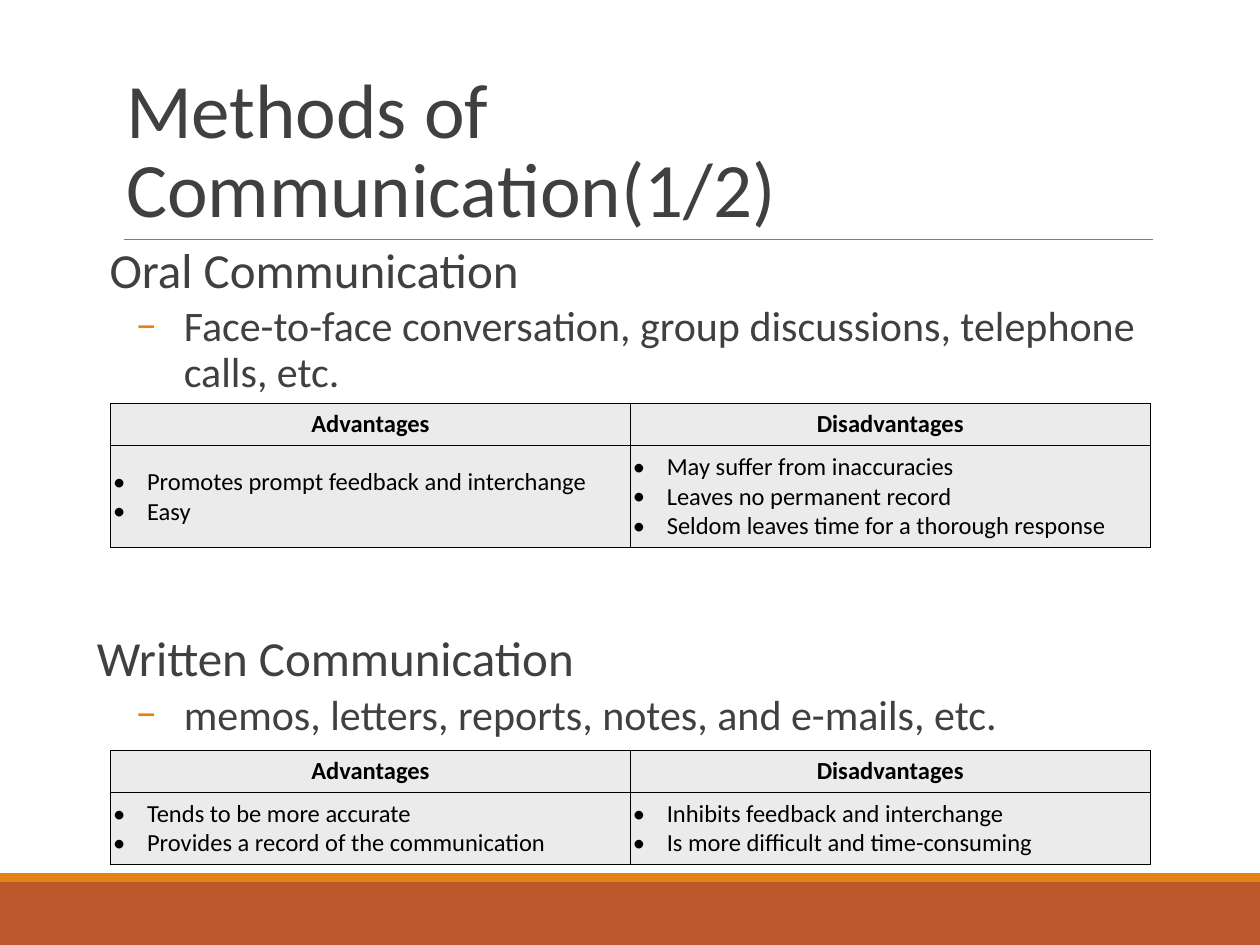
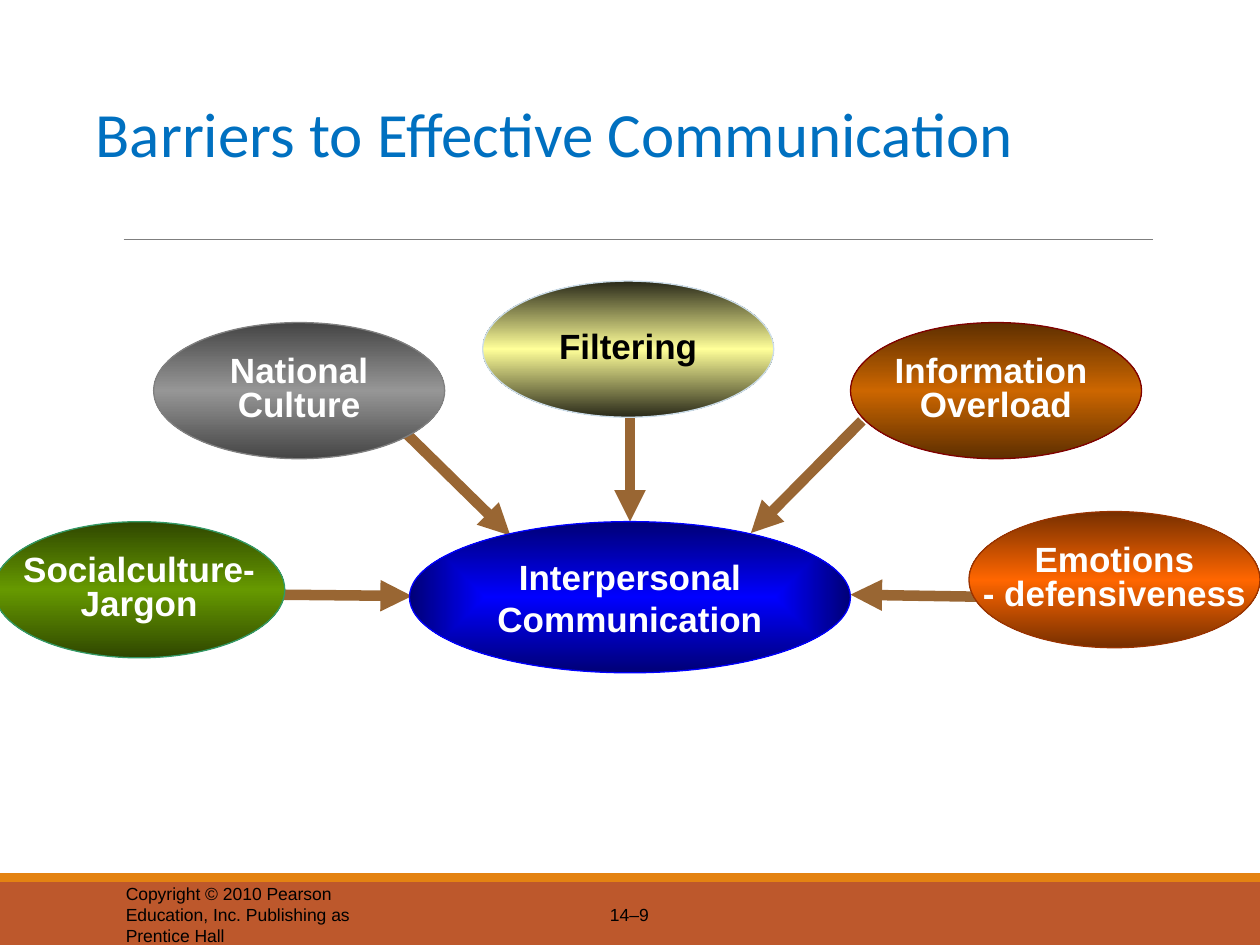
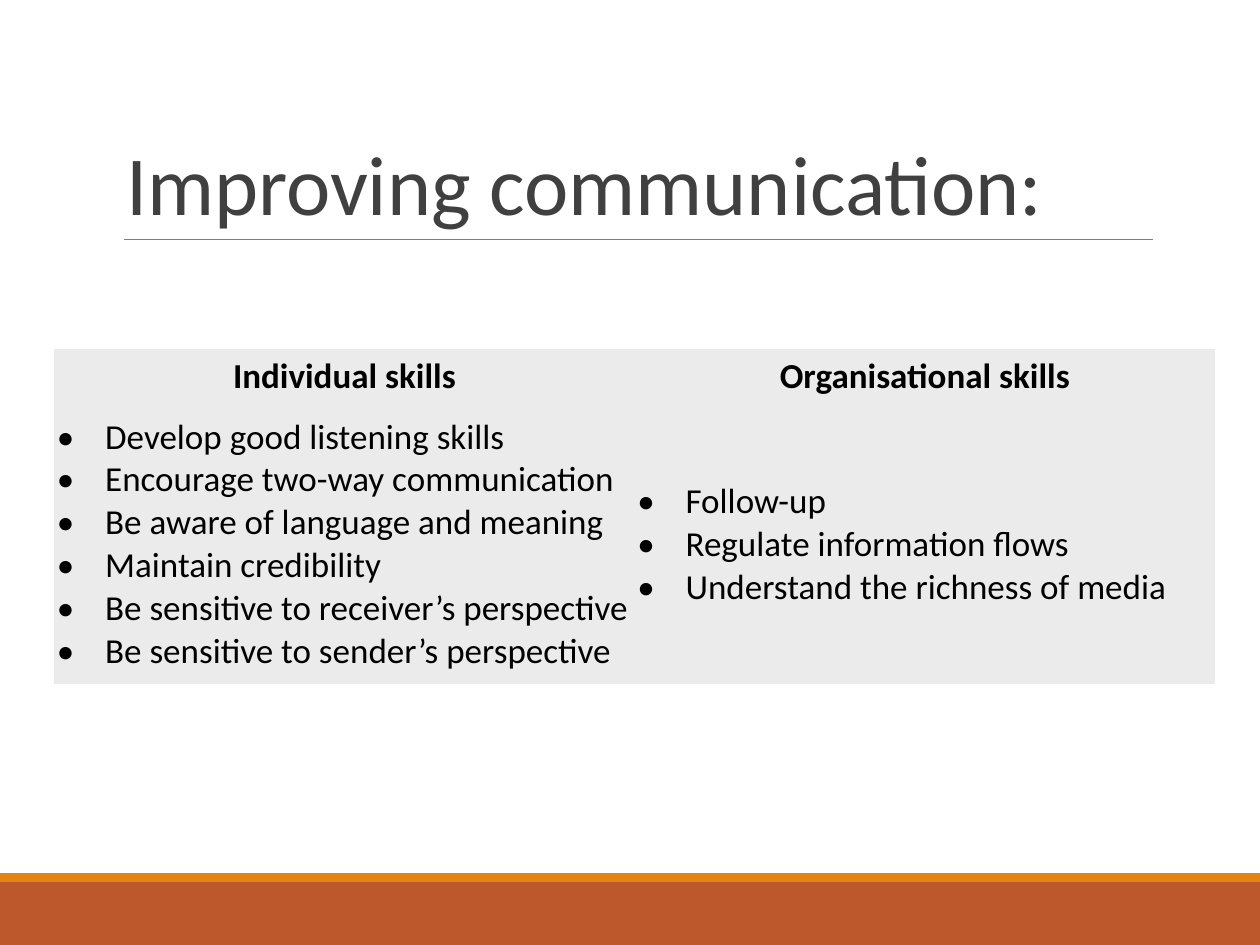
"""Build three slides on communication methods, barriers and improvements."""
from lxml import etree
from pptx import Presentation
from pptx.dml.color import RGBColor
from pptx.enum.shapes import MSO_CONNECTOR, MSO_SHAPE
from pptx.enum.text import MSO_ANCHOR, MSO_AUTO_SIZE, PP_ALIGN
from pptx.oxml import parse_xml
from pptx.oxml.ns import nsdecls, qn
from pptx.util import Pt

RECT, OVAL = MSO_SHAPE.RECTANGLE, MSO_SHAPE.OVAL
STRAIGHT = MSO_CONNECTOR.STRAIGHT
MIDDLE, BOTTOM = MSO_ANCHOR.MIDDLE, MSO_ANCHOR.BOTTOM
LEFT, CENTER = PP_ALIGN.LEFT, PP_ALIGN.CENTER
NO_FIT = MSO_AUTO_SIZE.NONE

BLACK = RGBColor(0x00, 0x00, 0x00)
WHITE = RGBColor(0xFF, 0xFF, 0xFF)
TEXT = RGBColor(0x40, 0x40, 0x40)
TITLE_BLUE = RGBColor(0x00, 0x70, 0xC0)
RUST = RGBColor(0xBD, 0x58, 0x2C)
ORANGE = RGBColor(0xE4, 0x83, 0x12)
RULE = RGBColor(0x7F, 0x7F, 0x7F)
CELL = RGBColor(0xEB, 0xEB, 0xEB)
ARROW = RGBColor(0x99, 0x66, 0x33)
HUB_BLUE = RGBColor(0x00, 0x00, 0xFF)
HUB_NAVY = RGBColor(0x00, 0x00, 0x76)

NO_GRID = "{2D5ABB26-0587-4C30-8999-92F81FD0307C}"
TITLE_BOX = (64.8, 22.3, 594, 114.5)
BARRIER_SIZE = (166.3, 77.8)

BARRIERS = [
    ("National\vCulture", (87.8, 184.3), "454545", "969696", "808080", WHITE),
    ("Emotions\n- defensiveness", (553.7, 292.3), "762F00", "FF6600", "993300", WHITE),
    ("Information \vOverload", (486, 184.3), "5E2F00", "CC6600", "800000", WHITE),
    ("Socialculture-\nJargon", (-3.6, 298.1), "2F4700", "669900", "339966", WHITE),
    ("Filtering", (275.8, 160.6), "292919", "FFFF99", "CCDDEA", BLACK),
]
ARROWS = [
    (156.2, 339.8, 235.4, 340.6),
    (218.9, 234.7, 291.6, 306),
    (578.9, 341.3, 486, 339.8),
    (492.5, 240.5, 429.1, 304.6),
    (360, 214.6, 360, 298.1),
]


def pts(*values):
    """Turn numbers into lengths in points."""
    return [Pt(v) for v in values]


def apply(obj, values):
    """Set each attribute named in a dict."""
    for name, value in values.items():
        setattr(obj, name, value)


def style(p, size, color, font="Calibri", bold=False, **values):
    """Format a paragraph and its runs."""
    apply(p, values)
    for r in p.runs:
        apply(r.font, {"size": Pt(size), "name": font, "bold": bold})
        r.font.color.rgb = color


def set_bullet(p, left, hang, char=None, color=BLACK):
    """Give a paragraph its indents and bullet, or no bullet."""
    pPr = p._p.get_or_add_pPr()
    pPr.set("marL", str(Pt(left)))
    pPr.set("indent", str(Pt(-hang)))
    if char is None:
        etree.SubElement(pPr, qn("a:buNone"))
        return
    clr = etree.SubElement(pPr, qn("a:buClr"))
    etree.SubElement(clr, qn("a:srgbClr"), val=str(color))
    etree.SubElement(pPr, qn("a:buFont"), typeface="Calibri")
    etree.SubElement(pPr, qn("a:buChar"), char=char)


def add_line(slide, ends, color, width, arrow=False):
    """Draw a straight line, with an arrowhead at its end if asked."""
    cxn = slide.shapes.add_connector(STRAIGHT, *pts(*ends))
    cxn.line.color.rgb = color
    cxn.line.width = Pt(width)
    if arrow:
        ln = cxn.line._get_or_add_ln()
        etree.SubElement(ln, qn("a:tailEnd"), type="triangle")
    etree.SubElement(cxn.element.spPr, qn("a:effectLst"))


def add_band(slide, box, color):
    """Draw a plain filled band."""
    sp = slide.shapes.add_shape(RECT, *pts(*box))
    sp.shadow.inherit = False
    sp.fill.solid()
    sp.fill.fore_color.rgb = color
    sp.line.fill.background()


def add_slide(prs, layout, title, size, box=TITLE_BOX, color=TEXT):
    """Add a slide with the shared bands, rule and title."""
    slide = prs.slides.add_slide(prs.slide_layouts[layout])
    add_band(slide, (0, 504, 720, 36), RUST)
    add_band(slide, (0, 499, 720, 5), ORANGE)
    add_line(slide, (70.6, 136.8, 658.8, 136.8), RULE, 0.5)
    sp = slide.shapes.title
    apply(sp, dict(zip(("left", "top", "width", "height"), pts(*box))))
    tf = sp.text_frame
    tf.text = title
    apply(tf, {"vertical_anchor": BOTTOM, "auto_size": NO_FIT, "word_wrap": True})
    style(tf.paragraphs[0], size, color, alignment=LEFT, line_spacing=0.85)
    return slide


def fill_body(slide, box, items):
    """Fill the body placeholder with headings and dashed details."""
    sp = slide.placeholders[1]
    apply(sp, dict(zip(("left", "top", "width", "height"), pts(*box))))
    tf = sp.text_frame
    tf.text = "\n".join(text for text, *_ in items)
    apply(tf, {"auto_size": NO_FIT, "word_wrap": True, "margin_left": 0, "margin_right": 0})
    for p, (_, level, hang, before) in zip(tf.paragraphs, items):
        if level:
            set_bullet(p, 49.7, hang, "−", ORANGE)
        else:
            set_bullet(p, 7.2, hang)
        style(p, 24 if level else 28, TEXT, level=level, alignment=LEFT, line_spacing=0.9,
              space_before=Pt(before), space_after=Pt(4 if level else 2))


def add_borders(cell, color, width):
    """Draw a line on all four sides of a cell."""
    tcPr = cell._tc.get_or_add_tcPr()
    for side in ("lnL", "lnR", "lnT", "lnB"):
        ln = etree.SubElement(tcPr, qn(f"a:{side}"), w=str(Pt(width)))
        fill = etree.SubElement(ln, qn("a:solidFill"))
        etree.SubElement(fill, qn("a:srgbClr"), val=str(color))


def fill_cell(cell, text, size, header, border):
    """Write a header cell or a cell with a bulleted list."""
    if border:
        add_borders(cell, BLACK, border)
    cell.fill.solid()
    cell.fill.fore_color.rgb = CELL
    apply(cell, {"vertical_anchor": MIDDLE, "margin_left": Pt(1.5), "margin_right": Pt(1.5)})
    cell.text_frame.text = text
    for p in cell.text_frame.paragraphs:
        if not header:
            set_bullet(p, 1.38 * size, 1.38 * size, "•")
        style(p, size, BLACK, bold=header, alignment=CENTER if header else LEFT)


def add_skill_table(slide, box, heights, headers, lists, size, border=0):
    """Add a two-row table of headed lists."""
    frame = slide.shapes.add_table(2, len(headers), *pts(*box))
    table = frame.table
    apply(table, {"first_row": False, "horz_banding": False})
    for style_id in frame.element.iter(qn("a:tableStyleId")):
        style_id.text = NO_GRID
    for row, height in zip(table.rows, heights):
        row.height = Pt(height)
    for i, (header, items) in enumerate(zip(headers, lists)):
        fill_cell(table.cell(0, i), header, size, True, border)
        fill_cell(table.cell(1, i), "\n".join(items), size, False, border)


def add_ellipse(slide, box, text, stops, shade, outline, color, spacing=1.0, wrap=False):
    """Draw a labelled ellipse with a gradient fill."""
    sp = slide.shapes.add_shape(OVAL, *pts(*box))
    sp.shadow.inherit = False
    gs = "".join(f'<a:gs pos="{pos * 1000}"><a:srgbClr val="{c}"/></a:gs>' for pos, c in stops)
    grad = f'<a:gradFill {nsdecls("a")} rotWithShape="1"><a:gsLst>{gs}</a:gsLst>{shade}</a:gradFill>'
    sp.element.spPr.insert(2, parse_xml(grad))
    sp.line.color.rgb = outline
    sp.line.width = Pt(0.75)
    tf = sp.text_frame
    tf.text = text
    apply(tf, {"vertical_anchor": MIDDLE, "word_wrap": wrap})
    for p in tf.paragraphs:
        style(p, 20, color, "Arial", True, alignment=CENTER, line_spacing=spacing)


def add_barrier(slide, text, place, edge, middle, outline, color):
    """Draw one barrier, shaded from edge to middle and back."""
    add_ellipse(slide, place + BARRIER_SIZE, text, [(0, edge), (50, middle), (100, edge)],
                '<a:lin ang="5400000" scaled="1"/>', RGBColor.from_string(outline), color, 0.8)


def add_hub(slide, text):
    """Draw the central ellipse that the barriers point at."""
    shade = '<a:path path="rect"><a:fillToRect l="50000" t="50000" r="50000" b="50000"/></a:path>'
    add_ellipse(slide, (234, 298.1, 252, 86.4), text, [(0, HUB_BLUE), (100, HUB_NAVY)],
                shade, HUB_BLUE, WHITE, wrap=True)


def add_footer(slide, box, text, align):
    """Add a small footer text."""
    tf = slide.shapes.add_textbox(*pts(*box)).text_frame
    tf.text = text
    apply(tf, {"word_wrap": True, "vertical_anchor": MIDDLE})
    style(tf.paragraphs[0], 10, BLACK, "Arial", alignment=align)


def build_methods(prs):
    """Build the slide on oral and written communication."""
    slide = add_slide(prs, 1, "Methods of Communication(1/2)", 44)
    fill_body(slide, (55.4, 136.8, 612.7, 372.2), [
        ("Oral Communication", 0, 0, 0),
        ("Face-to-face conversation, group discussions, telephone calls, etc.", 1, 27.4, 2),
        ("Written Communication", 0, 7.2, 132),
        ("memos, letters, reports, notes, and e-mails, etc.", 1, 27.4, 2),
    ])
    headers = ("Advantages", "Disadvantages")
    add_skill_table(slide, (63.2, 230.4, 594, 72), (19.4, 52.6), headers, (
        ("Promotes prompt feedback and interchange", "Easy"),
        ("May suffer from inaccuracies", "Leaves no permanent record",
         "Seldom leaves time for a thorough response"),
    ), 14, 0.45)
    add_skill_table(slide, (63.2, 428.6, 594, 55.4), (19.4, 36), headers, (
        ("Tends to be more accurate", "Provides a record of the communication"),
        ("Inhibits feedback and interchange", "Is more difficult and time-consuming"),
    ), 14, 0.45)


def build_barriers(prs):
    """Build the diagram of barriers."""
    slide = add_slide(prs, 5, "Barriers to Effective Communication", 36,
                      (47.5, -2.2, 635.8, 103), TITLE_BLUE)
    add_footer(slide, (64.8, 508.3, 146.2, 28.8),
               "Copyright © 2010 Pearson Education, Inc. Publishing as Prentice Hall", LEFT)
    add_footer(slide, (217.4, 508.3, 284.4, 28.8), "14–9", CENTER)
    for ends in ARROWS:
        add_line(slide, ends, ARROW, 6, arrow=True)
    add_hub(slide, "Interpersonal Communication")
    for barrier in BARRIERS:
        add_barrier(slide, *barrier)


def build_improving(prs):
    """Build the slide on skills."""
    slide = add_slide(prs, 5, "Improving communication:", 48)
    add_skill_table(slide, (31, 199.4, 663.4, 189.4), (29.5, 159.9),
                    ("Individual skills", "Organisational skills"), (
        ("Develop good listening skills", "Encourage two-way communication",
         "Be aware of language and meaning", "Maintain credibility",
         "Be sensitive to receiver’s perspective", "Be sensitive to sender’s perspective"),
        ("Follow-up", "Regulate information flows", "Understand the richness of media"),
    ), 20)


def main():
    """Build and save the presentation."""
    prs = Presentation()
    apply(prs, {"slide_width": Pt(720), "slide_height": Pt(540)})
    build_methods(prs)
    build_barriers(prs)
    build_improving(prs)
    prs.save("out.pptx")


if __name__ == "__main__":
    main()
